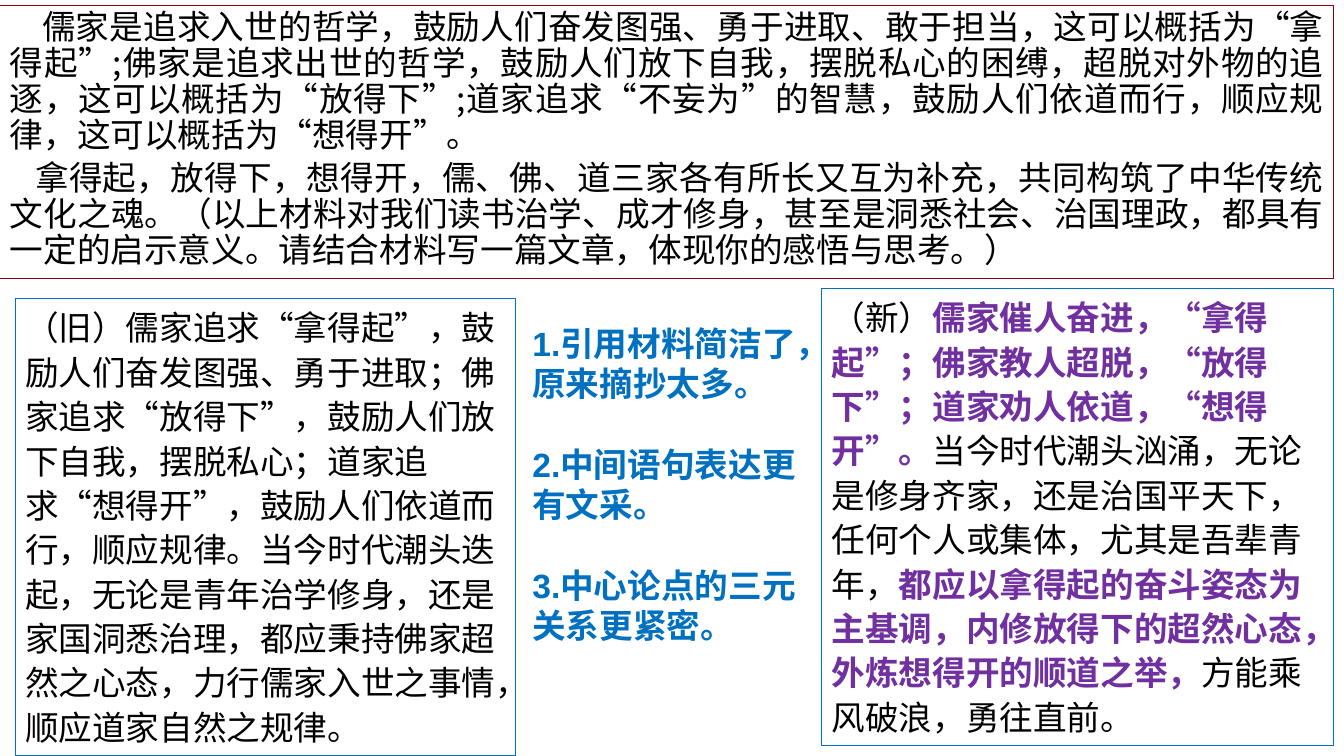
import pptx
import pptx.util
import pptx.dml.color
import pptx.enum.shapes
import pptx.enum.text
import pptx.oxml
import pptx.oxml.ns

Inches = pptx.util.Inches
Pt = pptx.util.Pt
BLACK, BLUE, PURPLE, DARK_RED = "000000", "0070C0", "7030A0", "88000A"
CJK_FONT = "Noto Sans CJK SC"

PROMPT = [
    ("儒家是追求入世的哲学，鼓励人们奋发图强、勇于进取、敢于担当，这可以概括为“拿得起”;"
     "佛家是追求出世的哲学，鼓励人们放下自我，摆脱私心的困缚，超脱对外物的追逐，这可以概括为“放得下”;"
     "道家追求“不妄为”的智慧，鼓励人们依道而行，顺应规律，这可以概括为“想得开”。", 0.32),
    ("拿得起，放得下，想得开，儒、佛、道三家各有所长又互为补充，共同构筑了中华传统文化之魂。"
     "（以上材料对我们读书治学、成才修身，甚至是洞悉社会、治国理政，都具有一定的启示意义。"
     "请结合材料写一篇文章，体现你的感悟与思考。）", 0.25),
]
OLD_VERSION = [
    ("（旧）儒家追求“拿得起”，鼓励人们奋发图强、勇于进取；佛家追求“放得下”，鼓励人们放下自我，摆脱私心；"
     "道家追求“想得开”，鼓励人们依道而行，顺应规律。当今时代潮头迭起，无论是青年治学修身，还是家国洞悉治理，"
     "都应秉持佛家超然之心态，力行儒家入世之事情，顺应道家自然之规律。", False),
]
NEW_VERSION = [
    ("（新）", False),
    ("儒家催人奋进，“拿得起”；佛家教人超脱，“放得下”；道家劝人依道，“想得开”。", True),
    ("当今时代潮头汹涌，无论是修身齐家，还是治国平天下，任何个人或集体，尤其是吾辈青年，", False),
    ("都应以拿得起的奋斗姿态为主基调，内修放得下的超然心态，外炼想得开的顺道之举，", True),
    ("方能乘风破浪，勇往直前。", False),
]
COMMENTS = ["1.引用材料简洁了，原来摘抄太多。", "2.中间语句表达更有文采。", "3.中心论点的三元关系更紧密。"]


def rgb(hex_color):
    """Turn a hex string into a colour."""
    return pptx.dml.color.RGBColor.from_string(hex_color)


def add_text(paragraph, text, font=CJK_FONT, size=24, color=BLACK, bold=False):
    """Append a formatted run to a paragraph."""
    run = paragraph.add_run()
    run.text = text
    run.font.name = font
    run.font.size = Pt(size)
    run.font.bold = bold
    run.font.color.rgb = rgb(color)
    east_asian = pptx.oxml.parse_xml(
        f'<a:ea {pptx.oxml.ns.nsdecls("a")} typeface="{CJK_FONT}"/>')
    run.font._element.find(pptx.oxml.ns.qn("a:latin")).addnext(east_asian)


def prepare_frame(frame):
    """Set wrapping and top anchoring, and return the frame."""
    frame.word_wrap = True
    frame.auto_size = pptx.enum.text.MSO_AUTO_SIZE.NONE
    frame.vertical_anchor = pptx.enum.text.MSO_ANCHOR.TOP
    return frame


def next_paragraph(frame, index, line_height, align=pptx.enum.text.PP_ALIGN.LEFT):
    """Return the paragraph at an index with its line height and alignment."""
    paragraph = frame.add_paragraph() if index else frame.paragraphs[0]
    paragraph.alignment = align
    paragraph.line_spacing = Pt(line_height)
    paragraph.space_before = Pt(0)
    return paragraph


def add_framed_box(slide, box, border):
    """Draw an outlined rectangle and return its text frame."""
    panel = slide.shapes.add_shape(
        pptx.enum.shapes.MSO_SHAPE.RECTANGLE, *map(Inches, box))
    panel.shadow.inherit = False
    panel.fill.background()
    panel.line.color.rgb = rgb(border)
    panel.line.width = Pt(0.75)
    return prepare_frame(panel.text_frame)


def add_prompt(slide, box):
    """Place the essay prompt with indented, justified paragraphs."""
    frame = add_framed_box(slide, box, DARK_RED)
    for index, (passage, indent) in enumerate(PROMPT):
        paragraph = next_paragraph(
            frame, index, 25.7, pptx.enum.text.PP_ALIGN.JUSTIFY)
        paragraph.space_after = Pt(5)
        paragraph._p.get_or_add_pPr().set("indent", str(Inches(indent)))
        add_text(paragraph, passage)


def add_version(slide, box, passages):
    """Place one draft of the opening, with its revised passages in bold."""
    frame = add_framed_box(slide, box, BLUE)
    paragraph = next_paragraph(frame, 0, 31.7)
    for passage, revised in passages:
        add_text(paragraph, passage, color=PURPLE if revised else BLACK, bold=revised)


def add_comments(slide, box):
    """Place the list of comments in the body placeholder."""
    body = slide.placeholders[1]
    body.left, body.top, body.width, body.height = map(Inches, box)
    frame = prepare_frame(body.text_frame)
    for index, comment in enumerate(COMMENTS):
        paragraph = next_paragraph(frame, index, 28.8)
        paragraph.space_before = Pt(28.8 if index else 0)
        properties = paragraph._p.get_or_add_pPr()
        properties.set("marL", "0")
        properties.set("indent", "0")
        properties.append(pptx.oxml.parse_xml(
            f'<a:buNone {pptx.oxml.ns.nsdecls("a")}/>'))
        add_text(paragraph, comment, font="Arial", color=BLUE, bold=True)


def main():
    """Build and save the slide."""
    deck = pptx.Presentation()
    deck.slide_width, deck.slide_height = Inches(13.33), Inches(7.5)
    slide = deck.slides.add_slide(deck.slide_layouts[1])
    title = slide.shapes.title.element
    title.getparent().remove(title)
    add_prompt(slide, (0, 0.05, 13.23, 2.71))
    add_version(slide, (0.15, 2.96, 4.96, 4.54), OLD_VERSION)
    add_version(slide, (8.15, 2.86, 5.08, 4.54), NEW_VERSION)
    add_comments(slide, (5.18, 3.15, 2.97, 3.33))
    deck.save("out.pptx")


if __name__ == "__main__":
    main()
